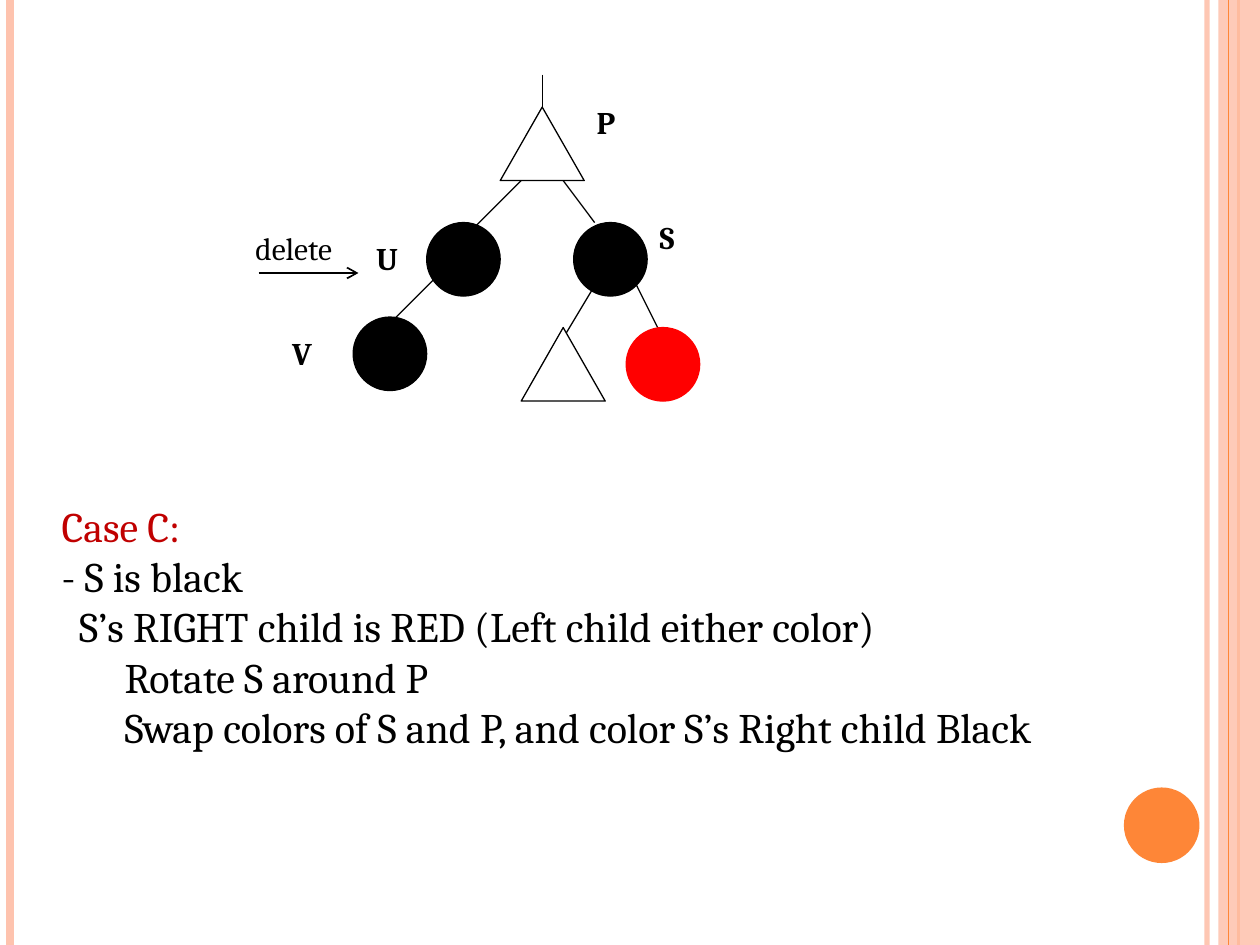
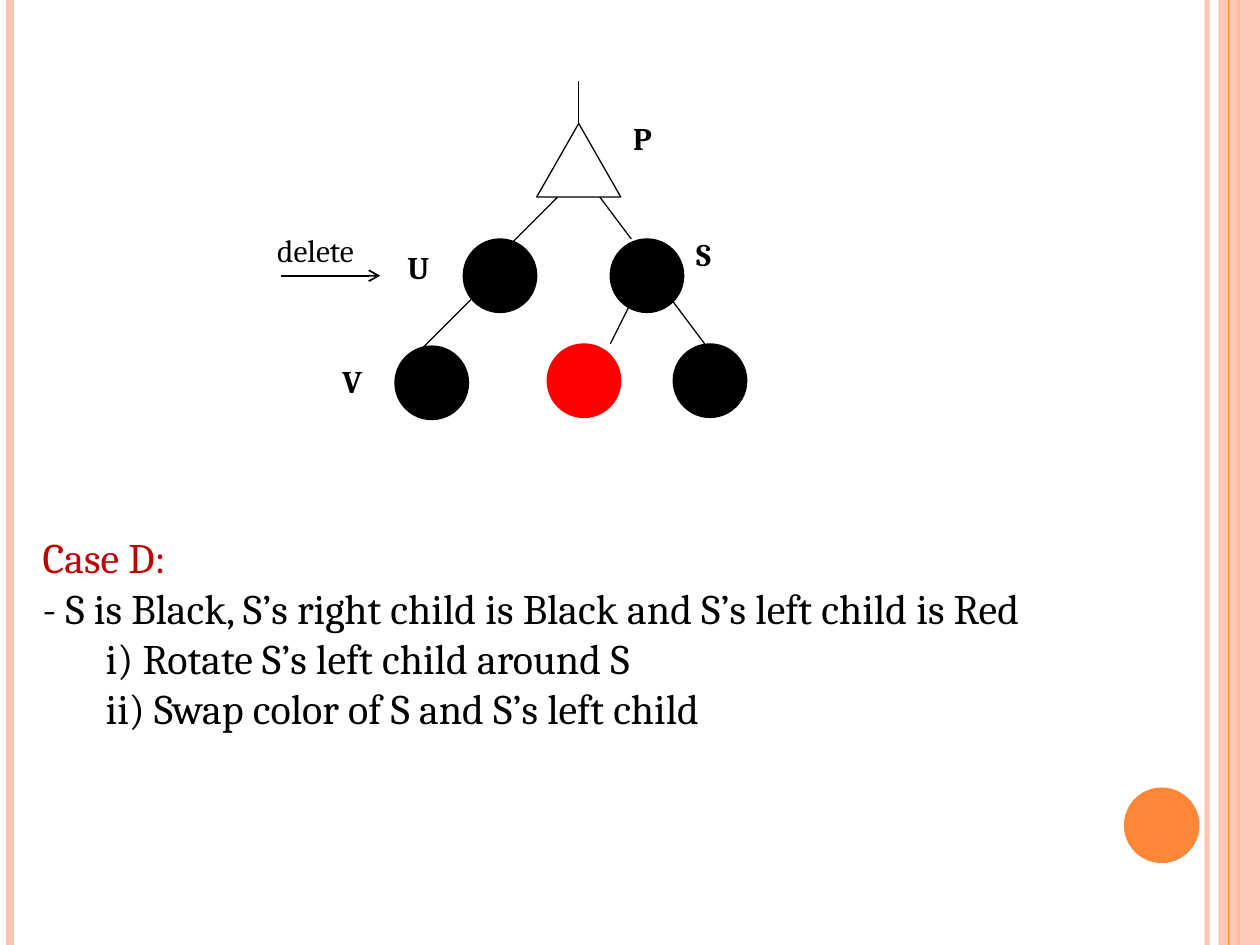
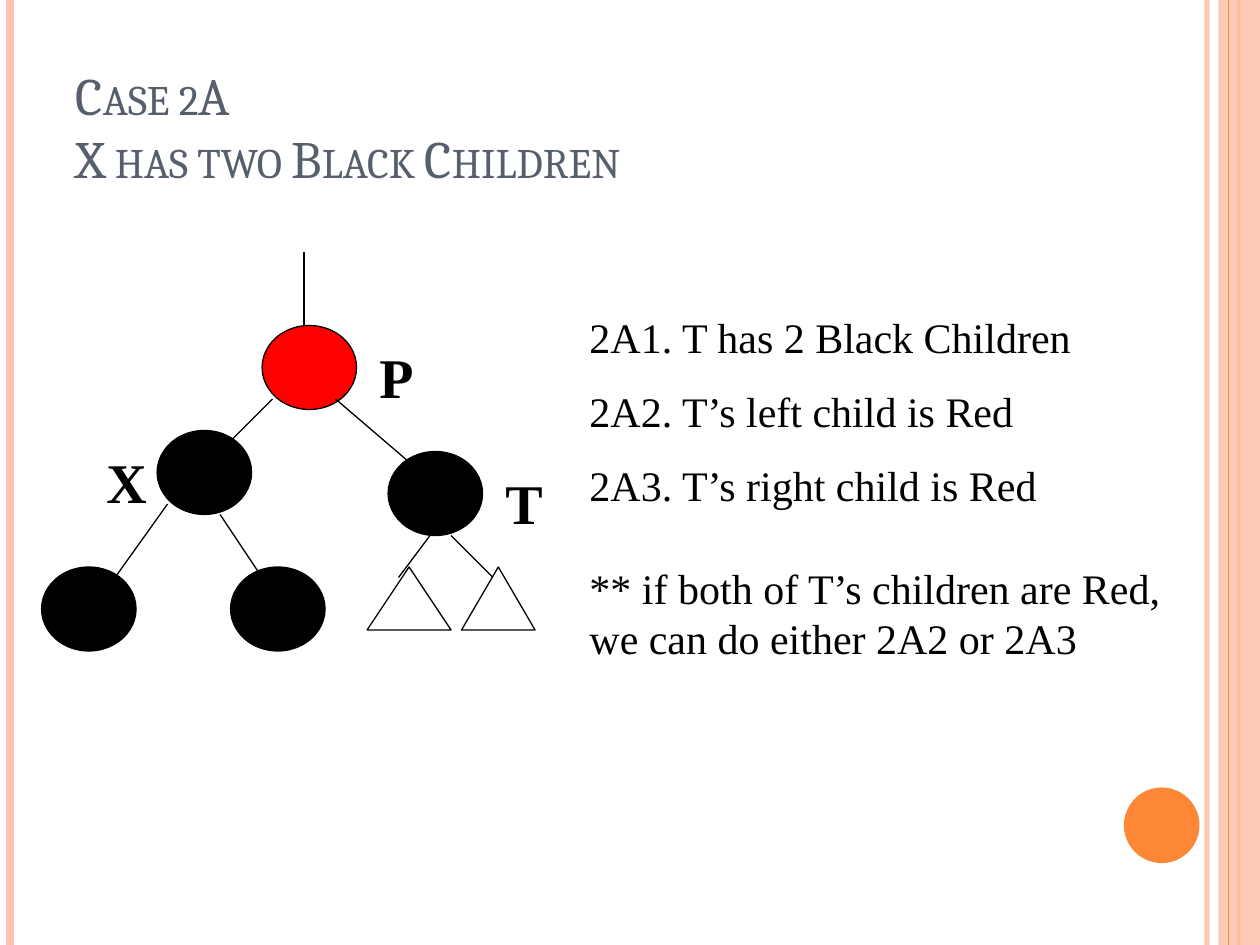
from lxml import etree
from pptx import Presentation
from pptx import util as u
from pptx.dml.color import RGBColor
from pptx.enum import shapes, text
from pptx.oxml.ns import qn

WIDTH, HEIGHT = 10, 7.5
CELL = 1 / 12  # grid step of the tree drawings, in inches

BLACK = RGBColor(0x00, 0x00, 0x00)
WHITE = RGBColor(0xFF, 0xFF, 0xFF)
RED = RGBColor(0xFF, 0x00, 0x00)
CASE_RED = RGBColor(0xC0, 0x00, 0x00)
PEACH = RGBColor(0xFE, 0xC3, 0xAE)
ORANGE = RGBColor(0xFE, 0x86, 0x37)
SLATE = RGBColor(0x57, 0x5F, 0x6D)
SANS, SERIF = "Cambria", "Times New Roman"

CIRCLE = shapes.MSO_SHAPE.OVAL
TRIANGLE = shapes.MSO_SHAPE.ISOSCELES_TRIANGLE
SMALL_NODE, LARGE_NODE = (7, 7), (9, 8)


# Basic parts, in inches
def set_alpha(shape, percent):
    color = next(shape.element.spPr.iter(qn("a:srgbClr")))
    etree.SubElement(color, qn("a:alpha")).set("val", str(percent * 1000))


def add_figure(page, kind, left, top, width, height, fill, line=None):
    shape = page.shapes.add_shape(kind, *map(u.Inches, (left, top, width, height)))
    shape.shadow.inherit = False
    shape.fill.solid()
    shape.fill.fore_color.rgb = fill
    if line is None:
        shape.line.fill.background()
    else:
        shape.line.color.rgb = line
        shape.line.width = u.Pt(0.75)
    return shape


def add_line(page, start, end, color=BLACK, width=0.75, arrow=False):
    line = page.shapes.add_connector(
        shapes.MSO_CONNECTOR.STRAIGHT, *map(u.Inches, (*start, *end)))
    line.line.color.rgb = color
    line.line.width = u.Pt(width)
    if arrow:
        etree.SubElement(line.line._get_or_add_ln(), qn("a:tailEnd")).set("type", "arrow")
    etree.SubElement(line.element.spPr, qn("a:effectLst"))
    return line


def style(para, size, font, color=BLACK, bold=False):
    para.font.size = u.Pt(size)
    para.font.name = font
    para.font.color.rgb = color
    para.font.bold = bold


def add_text(page, box, lines, size, font, bold=False):
    """Each line is (text, left margin in inches, space before in points, colour)."""
    frame = page.shapes.add_textbox(*map(u.Inches, box)).text_frame
    frame.word_wrap = True
    for index, (words, margin, gap, color) in enumerate(lines):
        para = frame.paragraphs[0] if index == 0 else frame.add_paragraph()
        para.text = words
        if margin:
            para._p.get_or_add_pPr().set("marL", str(u.Inches(margin)))
        if gap:
            para.space_before = u.Pt(gap)
        style(para, size, font, color, bold)


class Tree:
    """Draws on a grid of cells whose zero point is the given origin."""

    def __init__(self, page, origin, node_size, font, size):
        self.page, self.origin, self.node_size = page, origin, node_size
        self.font, self.size = font, size

    def spot(self, column, row):
        return self.origin[0] + column * CELL, self.origin[1] + row * CELL

    def node(self, column, row, fill=BLACK, line=BLACK):
        width, height = self.node_size
        add_figure(self.page, CIRCLE, *self.spot(column, row),
                   width * CELL, height * CELL, fill, line)

    def subtree(self, column, row, width, height):
        add_figure(self.page, TRIANGLE, *self.spot(column, row),
                   width * CELL, height * CELL, WHITE, BLACK)

    def edges(self, *ends):
        for x1, y1, x2, y2 in ends:
            add_line(self.page, self.spot(x1, y1), self.spot(x2, y2))

    def label(self, words, column, row, width, bold=True):
        height = self.size / 72 + 0.15
        add_text(self.page, (*self.spot(column, row), width, height),
                 [(words, 0, 0, BLACK)], self.size, self.font, bold)


# Bands and disc shared by all slides, moved to the master
def add_frame(deck, page):
    def rule(share, color, width):
        x = share * WIDTH
        return add_line(page, (x, 0), (x, HEIGHT), color, width)

    inner = rule(0.958, PEACH, 3)
    set_alpha(inner, 93)
    left = rule(0.008, PEACH, 4.5)
    outer = rule(0.983, ORANGE, 1.5)
    band = add_figure(page, shapes.MSO_SHAPE.RECTANGLE,
                      0.967 * WIDTH, 0, 0.033 * WIDTH, HEIGHT, PEACH)
    set_alpha(band, 87)
    thin = rule(0.975, ORANGE, 0.75)
    disc = add_figure(page, CIRCLE, 0.892 * WIDTH, HEIGHT * 5 / 6,
                      0.06 * WIDTH, 0.08 * HEIGHT, ORANGE)
    for part in (inner, left, outer, band, thin, disc):
        deck.slide_master.shapes.element.append(part.element)


# Tree with P, U, S and the deleted node V; origin is P's top left corner
def deletion_tree(page, origin, stem, u_label, v_node, v_label, uv_edge, arrow):
    tree = Tree(page, origin, SMALL_NODE, SANS, 18)
    tree.node(-7, 11)
    tree.node(7, 11)
    tree.node(*v_node)
    tree.edges((2, 7, -3, 12), (6, 7, 9, 11), (4, -stem, 4, 0), uv_edge)
    tree.subtree(0, 0, 8, 7)
    tree.label("P", 8, -1, 0.33)
    tree.label("S", 14, 10, 0.42)
    tree.label("U", *u_label, 0.83)
    tree.label("V", *v_label, 0.83)
    column, row = arrow
    add_line(page, tree.spot(column, row), tree.spot(column + 9.5, row), width=1, arrow=True)
    tree.label("delete", column - 1.5, row - 4.8, 1.05, bold=False)
    return tree


def case_text(page, box, heading, steps):
    lines = [(heading, 0, 0, CASE_RED)]
    lines += [(words, margin, 0, BLACK) for words, margin in steps]
    add_text(page, box, lines, 24, SANS)


def case_c(page):
    tree = deletion_tree(page, (3.97, 0.85), stem=3.1, u_label=(-13, 12),
                         v_node=(-14, 20), v_label=(-21, 21),
                         uv_edge=(-5.4, 15.5, -10.4, 20.5), arrow=(-23, 15.8))
    # Children of S
    tree.edges((9, 17, 6, 22), (13, 17, 15, 21))
    tree.subtree(2, 21, 8, 7)
    tree.node(12, 21, RED, RED)
    case_text(page, (0.39, 3.92, 8.17, 2.52), "Case C:", [
        ("- S is black", 0),
        ("S’s RIGHT child is RED (Left child either color)", 0.14),
        ("Rotate S around P", 0.5),
        ("Swap colors of S and P, and color S’s Right child Black", 0.5)])


def case_d(page):
    tree = deletion_tree(page, (4.26, 0.98), stem=4, u_label=(-13.5, 11.3),
                         v_node=(-13.5, 21.2), v_label=(-19.7, 22.1),
                         uv_edge=(-6, 16.5, -11, 21.5), arrow=(-24.4, 14.5))
    # Children of S
    tree.edges((9, 17, 7, 21), (13, 17, 16, 21))
    tree.node(1, 21, RED, RED)
    tree.node(13, 21)
    case_text(page, (0.24, 4.17, 9.28, 1.72), "Case D:", [
        ("- S is Black, S’s right child is Black and S’s left child is Red", 0),
        ("i) Rotate S’s left child around S", 0.5),
        ("ii) Swap color of S and S’s left child", 0.5)])


def add_title(page, box, words):
    title = page.shapes.title
    title.left, title.top, title.width, title.height = map(u.Inches, box)
    frame = title.text_frame
    frame.text = words
    frame.word_wrap = True
    frame.auto_size = text.MSO_AUTO_SIZE.NONE
    frame.vertical_anchor = text.MSO_ANCHOR.BOTTOM
    para = frame.paragraphs[0]
    para.alignment = text.PP_ALIGN.LEFT
    style(para, 30, SANS, SLATE)
    for span in para.runs:
        span.font._element.set("cap", "small")


def case_2a(page):
    add_title(page, (0.5, 0.3, 8.17, 1.25), "Case 2A\vX has two Black Children")
    # Tree with P, X and T
    tree = Tree(page, (0.33, 2), LARGE_NODE, SERIF, 32)
    tree.node(21, 7, RED)
    for column, row in ((11, 17), (33, 19), (0, 30), (18, 30)):
        tree.node(column, row)
    tree.edges((25, 0, 25, 7), (22, 14, 18, 18), (28, 14, 35, 20),
               (12, 24, 7, 31), (17, 25, 21, 31),
               (37, 27, 34, 31), (39, 27, 43, 31))
    tree.subtree(31, 30, 8, 6)
    tree.subtree(40, 30, 7, 6)
    for name, column, row in (("P", 31, 8), ("T", 43, 20), ("X", 5, 18)):
        tree.label(name, column, row, 0.5)
    # Sub-cases
    add_text(page, (4.58, 2.42, 4.92, 2.9), [
        ("2A1. T has 2 Black Children", 0, 0, BLACK),
        ("2A2. T’s left child is Red", 0, 13.5, BLACK),
        ("2A3. T’s right child is Red", 0, 13.5, BLACK),
        ("** if both of T’s children are Red, we can do either 2A2 or 2A3", 0, 30, BLACK),
    ], 24, SERIF)


def main():
    deck = Presentation()
    deck.slide_width, deck.slide_height = u.Inches(WIDTH), u.Inches(HEIGHT)
    title_only, blank = deck.slide_layouts[5], deck.slide_layouts[6]
    for index, (layout, build) in enumerate(
            ((blank, case_c), (blank, case_d), (title_only, case_2a))):
        page = deck.slides.add_slide(layout)
        if index == 0:
            add_frame(deck, page)
        build(page)
    deck.save("out.pptx")


if __name__ == "__main__":
    main()
